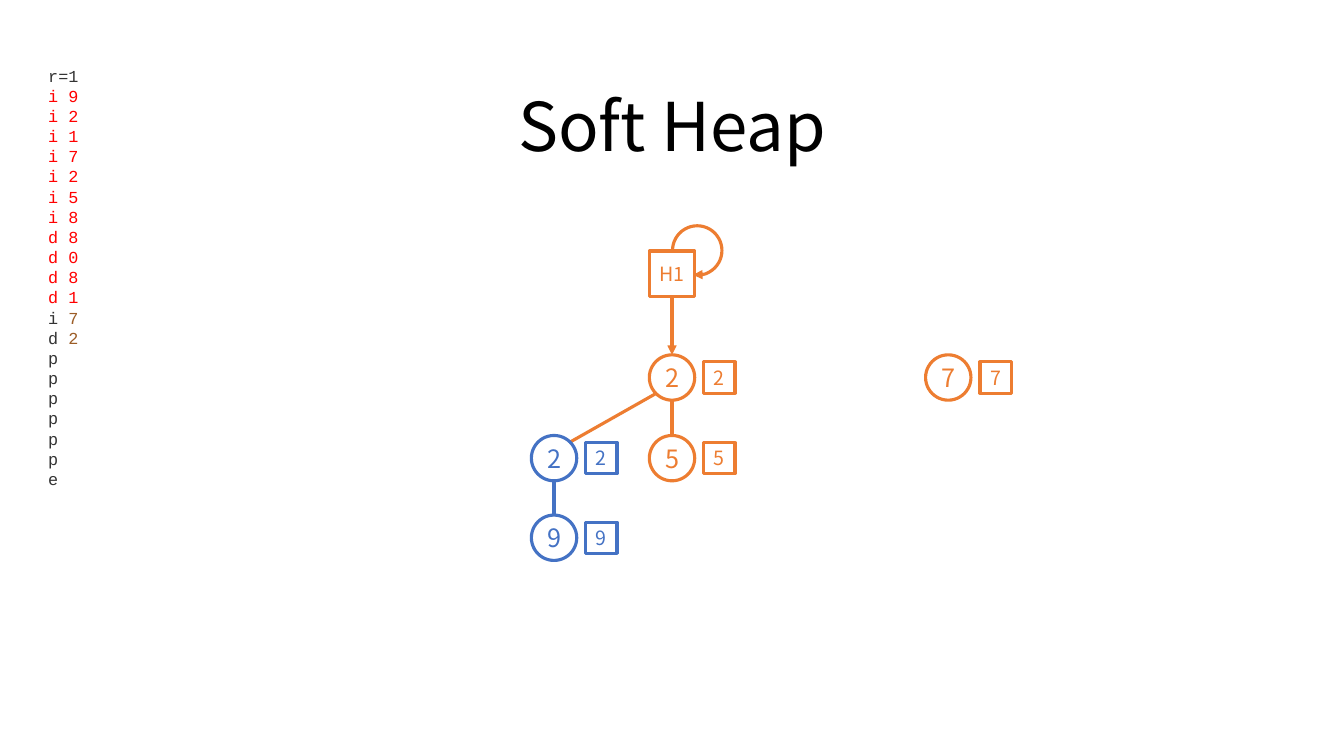
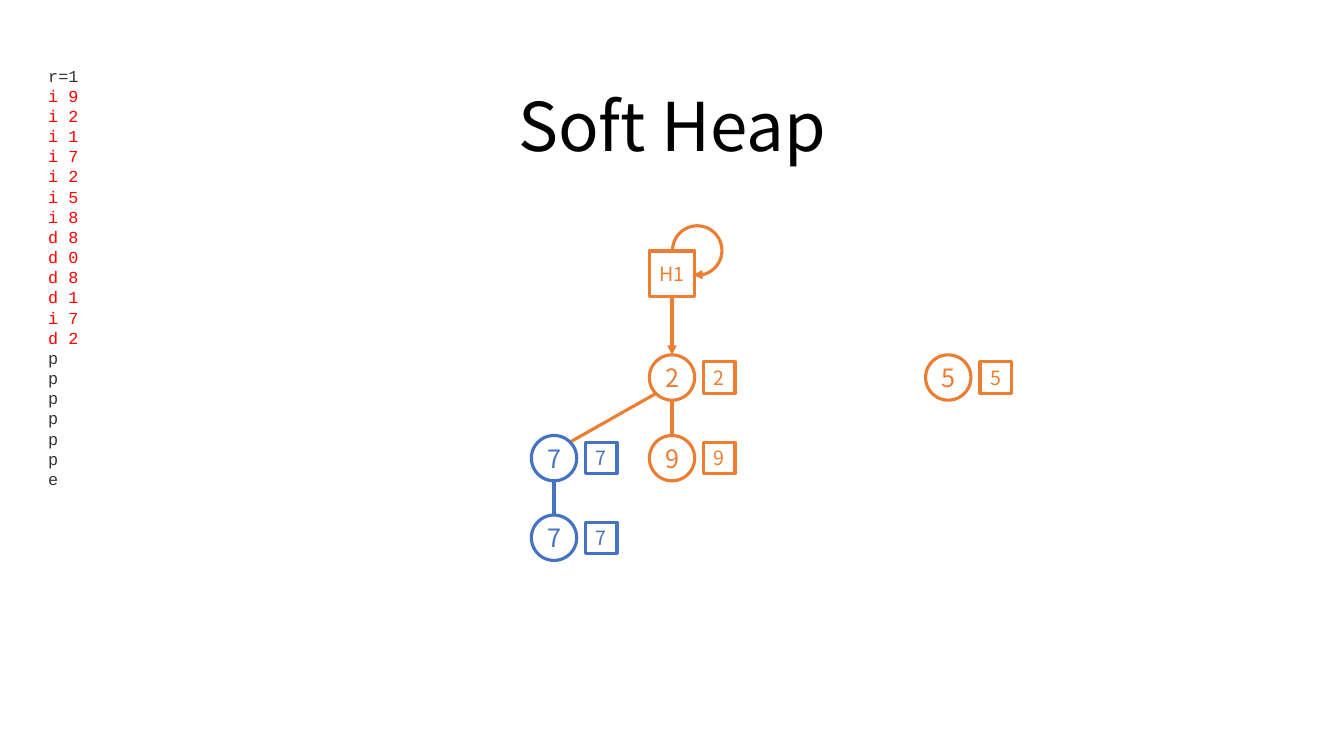
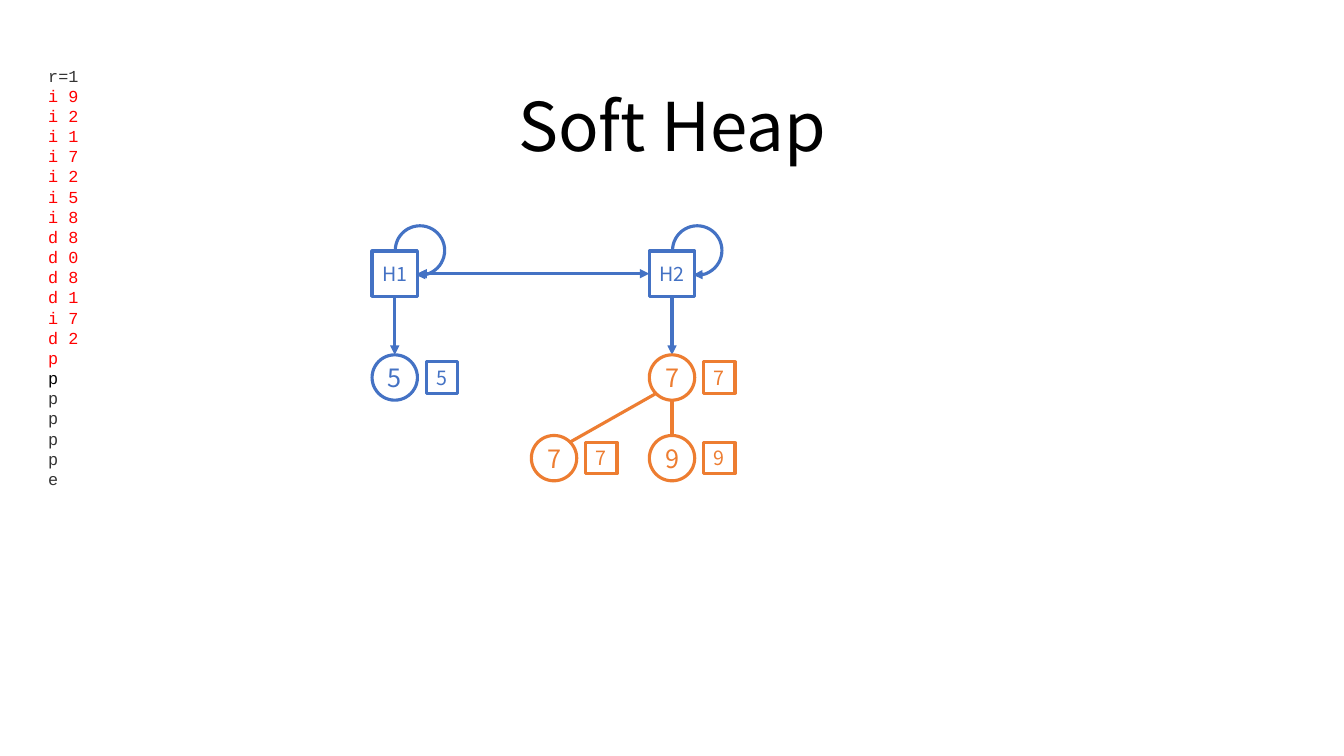
from lxml.etree import SubElement
from pptx import Presentation
from pptx.dml.color import RGBColor
from pptx.enum.shapes import MSO_CONNECTOR, MSO_SHAPE
from pptx.enum.text import MSO_ANCHOR, MSO_AUTO_SIZE, PP_ALIGN
from pptx.oxml.ns import qn
from pptx.util import Inches, Pt

# Shared style
ORANGE, BLUE = "ED7D31", "4472C4"
BLACK, PENDING, DONE, OPERAND = "000000", "333333", "FF0000", "9C5D27"
SANS, MONO = "Noto Sans CJK SC", "Courier New"
LINE_WIDTH = 2.25

# Diagram grid: row 0 holds the heap heads, the other rows hold tree nodes
COLUMNS = [3.69, 5.27, 6.44, 9.18]
ROWS = [2.49, 3.52, 4.32, 5.11]
NODE, KEY, LOOP = 0.45, 0.31, 0.49
KEY_OFFSET = (0.54, 0.07)
LOOP_OFFSET = (0.23, -0.25)

# Content
TITLE = "Soft Heap"
COMMANDS = ["r=1", "i 9", "i 2", "i 1", "i 7", "i 2", "i 5", "i 8", "d 8", "d 0",
            "d 8", "d 1", "i 7", "d 2", "p", "p", "p", "p", "p", "p", "e"]

# Possible links, parent to child, as (column, row); drawn when both ends exist
LINKS = [((0, 0), (2, 0)), ((0, 0), (0, 1)), ((2, 0), (2, 1)),
         ((2, 1), (2, 2)), ((2, 1), (1, 2)), ((1, 2), (1, 3))]

# done: last executed command; marked: commands with a tinted operand;
# current: command in black; nodes: (column, row) -> (label, colour)
STEPS = [
    {"done": 11, "marked": (12, 13), "current": None,
     "nodes": {(2, 0): ("H1", ORANGE), (2, 1): ("2", ORANGE), (2, 2): ("5", ORANGE),
               (1, 2): ("2", BLUE), (1, 3): ("9", BLUE), (3, 1): ("7", ORANGE)}},
    {"done": 13, "marked": (), "current": None,
     "nodes": {(2, 0): ("H1", ORANGE), (2, 1): ("2", ORANGE), (2, 2): ("9", ORANGE),
               (1, 2): ("7", BLUE), (1, 3): ("7", BLUE), (3, 1): ("5", ORANGE)}},
    {"done": 14, "marked": (), "current": 15,
     "nodes": {(0, 0): ("H1", BLUE), (2, 0): ("H2", BLUE), (0, 1): ("5", BLUE),
               (2, 1): ("7", ORANGE), (2, 2): ("9", ORANGE), (1, 2): ("7", ORANGE)}},
]


def rgb(colour):
    return RGBColor.from_string(colour)


def set_font(font, name, size, colour):
    font.name = name
    font.size = Pt(size)
    font.color.rgb = rgb(colour)


def set_line(shape, colour, head=False, tail=False):
    shape.line.color.rgb = rgb(colour)
    shape.line.width = Pt(LINE_WIDTH)
    outline = shape.element.spPr.find(qn("a:ln"))
    for tag, wanted in (("a:headEnd", head), ("a:tailEnd", tail)):
        if wanted:
            SubElement(outline, qn(tag), type="triangle")


def add_outline(slide, kind, left, top, size, colour, tail=False):
    shape = slide.shapes.add_shape(
        kind, Inches(left), Inches(top), Inches(size), Inches(size))
    shape.shadow.inherit = False
    shape.fill.background()
    set_line(shape, colour, tail=tail)
    return shape


def add_label(slide, kind, left, top, size, text, points, colour):
    frame = add_outline(slide, kind, left, top, size, colour).text_frame
    frame.margin_left = frame.margin_right = frame.margin_top = frame.margin_bottom = 0
    frame.word_wrap = False
    frame.vertical_anchor = MSO_ANCHOR.MIDDLE
    paragraph = frame.paragraphs[0]
    paragraph.text = text
    paragraph.alignment = PP_ALIGN.CENTER
    set_font(paragraph.font, SANS, points, colour)


def add_node(slide, place, text, colour):
    column, row = place
    left, top = COLUMNS[column], ROWS[row]
    if row == 0:
        add_label(slide, MSO_SHAPE.RECTANGLE, left, top, NODE, text, 14, colour)
        loop = add_outline(slide, MSO_SHAPE.ARC, left + LOOP_OFFSET[0],
                           top + LOOP_OFFSET[1], LOOP, colour, tail=True)
        loop.adjustments[0] = 107.31
        loop.adjustments[1] = 59.67
    else:
        add_label(slide, MSO_SHAPE.OVAL, left, top, NODE, text, 18, colour)
        add_label(slide, MSO_SHAPE.RECTANGLE, left + KEY_OFFSET[0],
                  top + KEY_OFFSET[1], KEY, text, 14, colour)


def add_link(slide, parent, child, colour):
    # Leave the parent's rim toward the child: sideways, down or diagonally
    radius = NODE / 2
    across = (child[0] > parent[0]) - (child[0] < parent[0])
    down = int(child[1] > parent[1])
    reach = radius * (0.5 ** 0.5 if across and down else 1)
    start, end = [
        (Inches(COLUMNS[column] + radius + sign * across * reach),
         Inches(ROWS[row] + radius + sign * down * reach))
        for (column, row), sign in ((parent, 1), (child, -1))]
    connector = slide.shapes.add_connector(MSO_CONNECTOR.STRAIGHT, *start, *end)
    set_line(connector, colour, head=not down, tail=parent[1] == 0)
    SubElement(connector.element.spPr, qn("a:effectLst"))


def add_title(slide):
    title = slide.shapes.title
    title.left, title.top = Inches(3.68), Inches(0.71)
    title.width, title.height = Inches(5.97), Inches(0.99)
    frame = title.text_frame
    frame.auto_size = MSO_AUTO_SIZE.NONE
    frame.vertical_anchor = MSO_ANCHOR.BOTTOM
    paragraph = frame.paragraphs[0]
    paragraph.text = TITLE
    paragraph.alignment = PP_ALIGN.CENTER
    paragraph.line_spacing = 0.9
    set_font(paragraph.font, SANS, 48, BLACK)


def add_commands(slide, step):
    box = slide.shapes.add_textbox(Inches(0.38), Inches(0.6), Inches(1.21), Inches(4.34))
    frame = box.text_frame
    frame.word_wrap = True
    frame.auto_size = MSO_AUTO_SIZE.SHAPE_TO_FIT_TEXT
    for index, command in enumerate(COMMANDS):
        paragraph = frame.add_paragraph() if index else frame.paragraphs[0]
        if index == step["current"]:
            colour = BLACK
        else:
            colour = DONE if 1 <= index <= step["done"] else PENDING
        set_font(paragraph.font, MONO, 12, colour)
        if index in step["marked"]:
            paragraph.add_run().text = command[:2]
            operand = paragraph.add_run()
            operand.text = command[2:]
            operand.font.color.rgb = rgb(OPERAND)
        else:
            paragraph.add_run().text = command


def main():
    presentation = Presentation()
    presentation.slide_width, presentation.slide_height = Inches(13.33), Inches(7.5)
    for step in STEPS:
        slide = presentation.slides.add_slide(presentation.slide_layouts[5])
        add_title(slide)
        add_commands(slide, step)
        nodes = step["nodes"]
        for parent, child in LINKS:
            if parent in nodes and child in nodes:
                add_link(slide, parent, child, nodes[parent][1])
        for place, (text, colour) in nodes.items():
            add_node(slide, place, text, colour)
    presentation.save("out.pptx")


if __name__ == "__main__":
    main()
